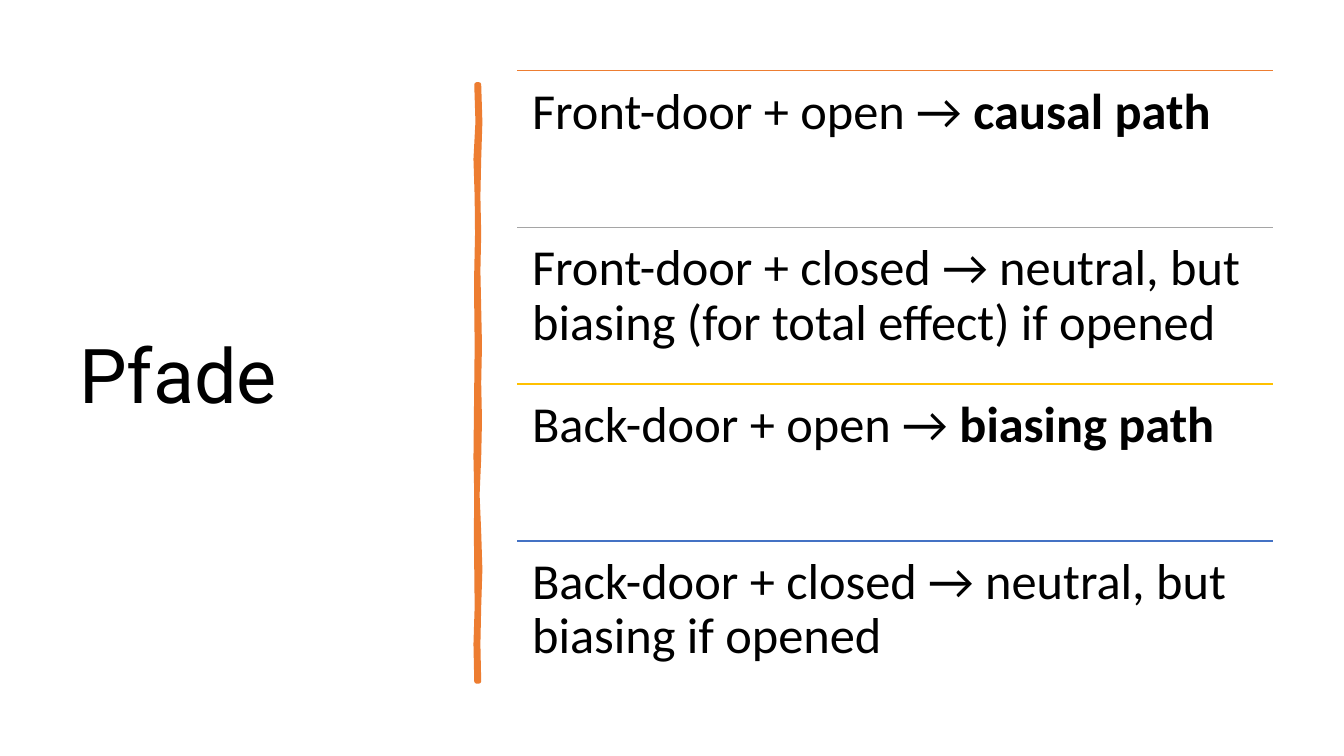
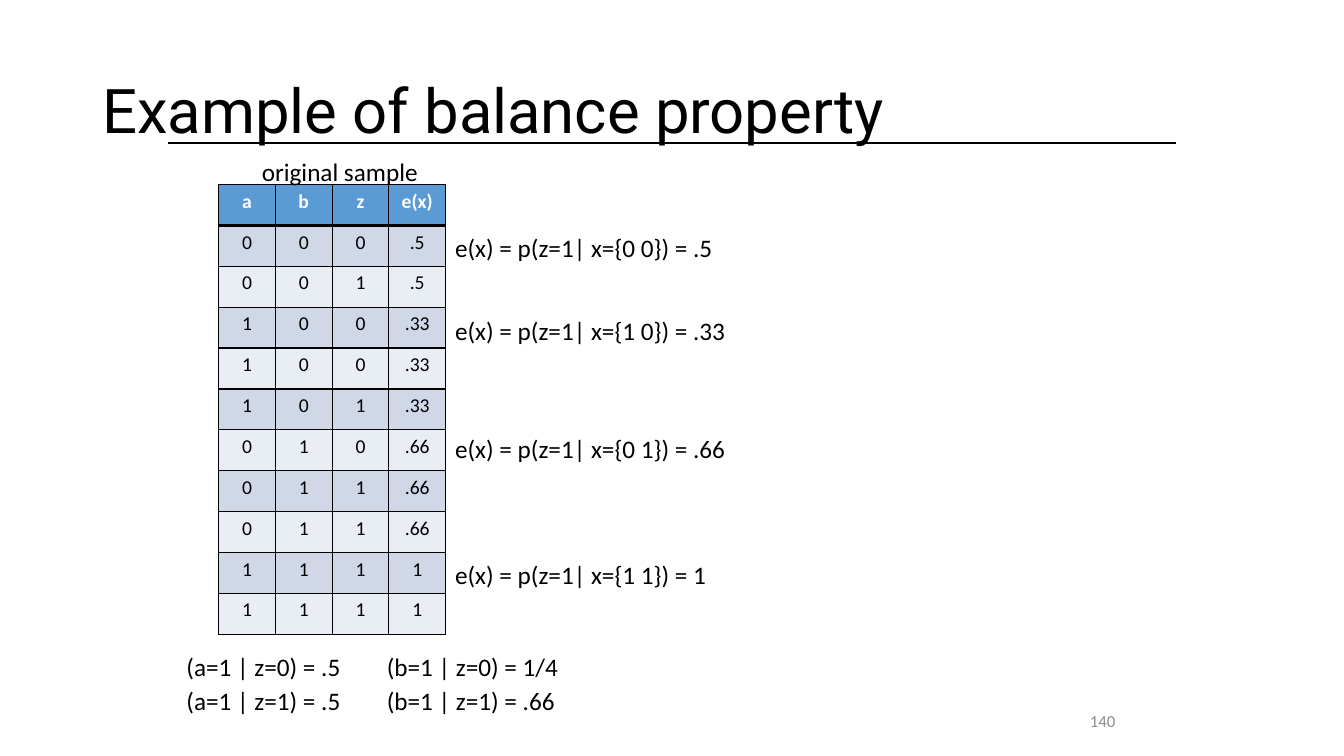
from lxml import etree
from pptx import Presentation
from pptx import util as u
from pptx.dml.color import RGBColor
from pptx.enum import shapes, text
from pptx.oxml import ns

COLORS = {
    "ink": "000000", "paper": "FFFFFF", "muted": "8C8C8C",
    "orange": "ED7D31", "gray": "A5A5A5", "gold": "FFC000", "blue": "4472C4",
    "header": "5B9BD5", "band_dark": "D0D8E8", "band_light": "E9EDF4",
}
BODY_FONT = "Calibri"
TITLE = {"font": "Roboto", "spacing": 0.9, "anchor": text.MSO_ANCHOR.MIDDLE}


def write(frame, content, size=18, font=BODY_FONT, color="ink", bold=False, bold_tail="",
          align=text.PP_ALIGN.LEFT, anchor=text.MSO_ANCHOR.TOP, spacing=1.0, inset=None):
    """Fill a text frame with one paragraph, optionally ending in bold."""
    frame.word_wrap = True
    frame.vertical_anchor = anchor
    if inset is not None:
        frame.margin_left = frame.margin_right = u.Cm(inset)
        frame.margin_top = frame.margin_bottom = u.Cm(inset)
    paragraph = frame.paragraphs[0]
    paragraph.alignment = align
    paragraph.line_spacing = spacing
    for words, is_bold in ((content, bold), (bold_tail, True)):
        if words:
            run = paragraph.add_run()
            run.text = words
            run.font.name = font
            run.font.size = u.Pt(size)
            run.font.bold = is_bold
            run.font.color.rgb = RGBColor.from_string(COLORS[color])


def rule(slide, left, top, width, color):
    """Draw a thin horizontal line."""
    line = slide.shapes.add_connector(
        shapes.MSO_CONNECTOR.STRAIGHT,
        u.Cm(left), u.Cm(top), u.Cm(left + width), u.Cm(top))
    line.line.color.rgb = RGBColor.from_string(COLORS[color])
    line.line.width = u.Pt(1)
    etree.SubElement(line._element.spPr, ns.qn("a:effectLst"))


deck = Presentation()
deck.slide_width, deck.slide_height = u.Cm(33.87), u.Cm(19.05)
blank = deck.slide_layouts[6]

# Paths slide: title
paths = deck.slides.add_slide(blank)
heading = paths.shapes.add_textbox(u.Cm(1.75), u.Cm(1.78), u.Cm(9.5), u.Cm(15.52))
write(heading.text_frame, "Pfade", size=54, **TITLE)

# Hand-drawn divider: x of both edges at equal steps down the slide
right_edge = [12.07, 12.1, 12.07, 12.05, 12.07, 12.05, 12.07, 12.09, 12.07,
              12.09, 12.07, 12.03, 12.07, 12.1, 12.07, 12.05, 12.07]
left_edge = [12.01, 12.04, 11.99, 12.02, 12.03, 12.01, 12.01, 12.02, 12.01,
             12.0, 11.99, 12.01, 12.0, 12.01, 12.02, 11.99, 12.01]
heights = [2.13 + 0.94 * step for step in range(len(right_edge))]
outline = list(zip(right_edge, heights)) + list(zip(left_edge, heights))[::-1]
points = [(u.Cm(x), u.Cm(y)) for x, y in outline]
brush = paths.shapes.build_freeform(*points[0])
brush.add_line_segments(points[1:], close=True)
divider = brush.convert_to_shape()
divider.shadow.inherit = False
divider.fill.solid()
divider.fill.fore_color.rgb = RGBColor.from_string(COLORS["orange"])
divider.line.color.rgb = RGBColor.from_string(COLORS["orange"])
divider.line.width = u.Pt(3.25)

# Four kinds of path
path_kinds = [
    ("orange", "Front-door + open → ", "causal path"),
    ("gray", "Front-door + closed → neutral, but biasing (for total effect) if opened", ""),
    ("gold", "Back-door + open → ", "biasing path"),
    ("blue", "Back-door + closed → neutral, but biasing if opened", ""),
]
for index, (color, kind, verdict) in enumerate(path_kinds):
    top = 1.78 + 3.95 * index
    rule(paths, 13.03, top, 19.05, color)
    entry = paths.shapes.add_textbox(u.Cm(13.03), u.Cm(top), u.Cm(19.05), u.Cm(3.95))
    write(entry.text_frame, kind, bold_tail=verdict, size=36, spacing=0.9, inset=0.38)

# Balance slide: title and rule
balance = deck.slides.add_slide(blank)
heading = balance.shapes.add_textbox(u.Cm(2.33), u.Cm(1.01), u.Cm(29.21), u.Cm(3.68))
write(heading.text_frame, "Example of balance property", size=44, **TITLE)

# Sample table
sample_rows = [
    ("a", "b", "z", "e(x)"),
    ("0", "0", "0", ".5"),
    ("0", "0", "1", ".5"),
    ("1", "0", "0", ".33"),
    ("1", "0", "0", ".33"),
    ("1", "0", "1", ".33"),
    ("0", "1", "0", ".66"),
    ("0", "1", "1", ".66"),
    ("0", "1", "1", ".66"),
    ("1", "1", "1", "1"),
    ("1", "1", "1", "1"),
]
sample = balance.shapes.add_table(
    len(sample_rows), 4, u.Cm(5.51), u.Cm(4.65), u.Cm(5.72), u.Cm(11.35)).table
for column in sample.columns:
    column.width = u.Cm(1.43)
for row_index, values in enumerate(sample_rows):
    sample.rows[row_index].height = u.Cm(1.03)
    is_header = row_index == 0
    band = "header" if is_header else ("band_light", "band_dark")[row_index % 2]
    # The line between header and data is heavier
    border_widths = {"lnL": 1, "lnR": 1, "lnT": 3 if row_index == 1 else 1,
                     "lnB": 3 if is_header else 1}
    for column_index, value in enumerate(values):
        cell = sample.cell(row_index, column_index)
        write(cell.text_frame, value, size=14, bold=is_header,
              color="paper" if is_header else "ink", align=text.PP_ALIGN.CENTER)
        cell_format = cell._tc.get_or_add_tcPr()
        for side, width in border_widths.items():
            border = etree.SubElement(cell_format, ns.qn(f"a:{side}"), w=str(u.Pt(width)))
            border_fill = etree.SubElement(border, ns.qn("a:solidFill"))
            etree.SubElement(border_fill, ns.qn("a:srgbClr"), val=COLORS["ink"])
        cell.fill.solid()
        cell.fill.fore_color.rgb = RGBColor.from_string(COLORS[band])

rule(balance, 4.24, 3.6, 25.4, "ink")

# Table caption, propensity scores and conditional shares
labels = [
    (6.35, 3.81, "original sample"),
    (11.22, 5.72, "e(x) = p(z=1| x={0 0}) = .5"),
    (11.22, 7.83, "e(x) = p(z=1| x={1 0}) = .33"),
    (11.22, 10.8, "e(x) = p(z=1| x={0 1}) = .66"),
    (11.22, 13.97, "e(x) = p(z=1| x={1 1}) = 1"),
    (4.45, 16.3, "(a=1 | z=0) = .5"),
    (4.45, 17.15, "(a=1 | z=1) = .5"),
    (9.5, 16.3, "(b=1 | z=0) = 1/4"),
    (9.5, 17.15, "(b=1 | z=1) = .66"),
]
for left, top, label in labels:
    note = balance.shapes.add_textbox(u.Cm(left), u.Cm(top), u.Cm(8), u.Cm(1.03))
    write(note.text_frame, label)

# Slide number
number = balance.shapes.add_textbox(u.Cm(22.43), u.Cm(17.66), u.Cm(5.93), u.Cm(1.01))
write(number.text_frame, "140", size=12, color="muted",
      align=text.PP_ALIGN.RIGHT, anchor=text.MSO_ANCHOR.MIDDLE)

deck.save("out.pptx")
